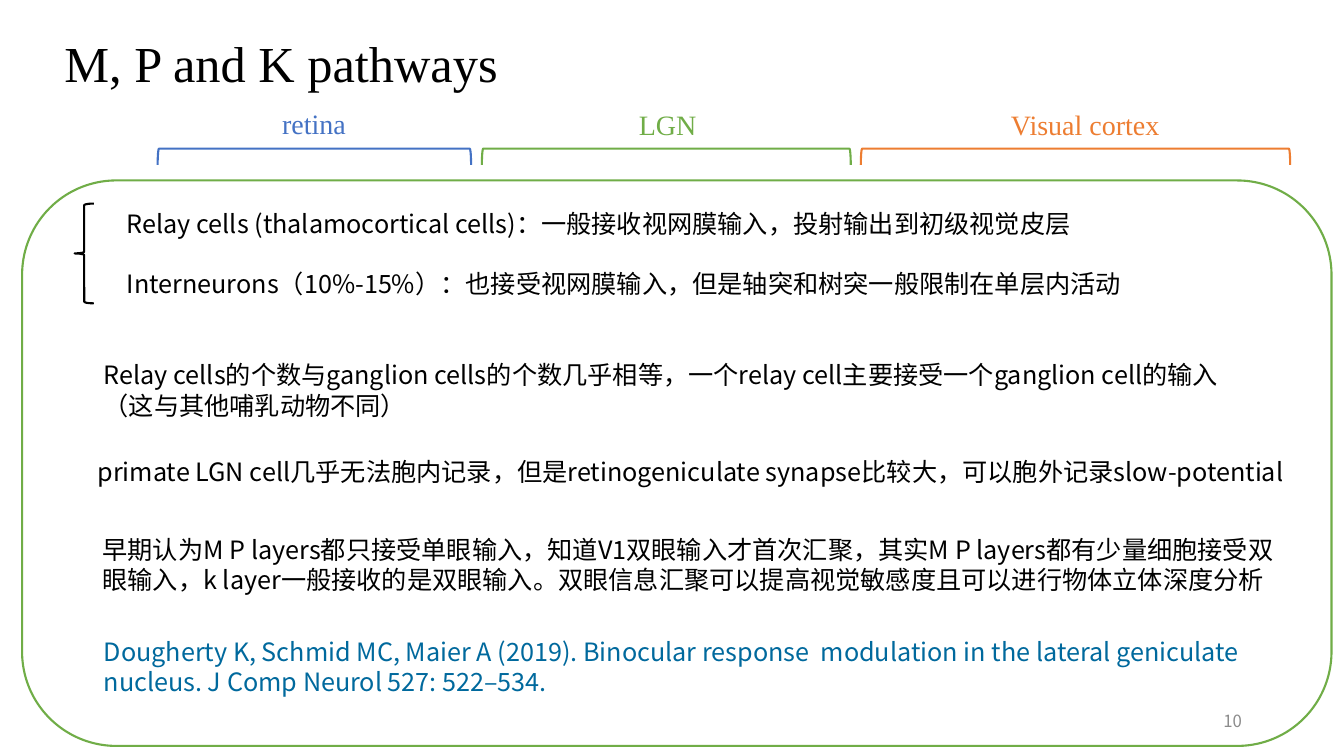
from lxml import etree
from pptx import Presentation
from pptx.dml.color import RGBColor
from pptx.enum.shapes import MSO_SHAPE
from pptx.enum.text import MSO_ANCHOR, PP_ALIGN
from pptx.oxml.ns import qn
from pptx.util import Pt

RIGHT_BRACKET = MSO_SHAPE.RIGHT_BRACKET
LEFT_BRACE = MSO_SHAPE.LEFT_BRACE
ROUND_RECT = MSO_SHAPE.ROUNDED_RECTANGLE
TOP, MIDDLE = MSO_ANCHOR.TOP, MSO_ANCHOR.MIDDLE
LEFT, RIGHT = PP_ALIGN.LEFT, PP_ALIGN.RIGHT

BLACK = RGBColor(0x00, 0x00, 0x00)
BLUE = RGBColor(0x44, 0x72, 0xC4)
GREEN = RGBColor(0x70, 0xAD, 0x47)
ORANGE = RGBColor(0xED, 0x7D, 0x31)
CITATION = RGBColor(0x00, 0x69, 0x9D)
GREY = RGBColor(0x8C, 0x8C, 0x8C)

SERIF = "Times New Roman"
SANS = "Noto Sans CJK SC"

BRACKET_TOP = 106.2
BRACKET_DEPTH = 11.5

STAGES = [
    ("retina", BLUE, 112.6, 223.9, 194.4, 72.7, 66),
    ("LGN", GREEN, 344.2, 263.5, 449.3, 73.4, 66),
    ("Visual cortex", ORANGE, 614.9, 306.7, 715, 73.4, 131),
]

NOTES = [
    ("Relay cells (thalamocortical cells)：一般接收视网膜输入，投射输出到初级视觉皮层",
     83.5, 145.4, 782.6, 28.8, BLACK),
    ("Interneurons（10%-15%）：也接受视网膜输入，但是轴突和树突一般限制在单层内活动",
     83.5, 187.9, 744.5, 28.8, BLACK),
    ("Relay cells的个数与ganglion cells的个数几乎相等，一个relay cell主要接受一个"
     "ganglion cell的输入（这与其他哺乳动物不同）",
     67, 253.4, 841.7, 51.1, BLACK),
    ("primate LGN cell几乎无法胞内记录，但是retinogeniculate synapse比较大，"
     "可以胞外记录slow-potential",
     62.6, 322.6, 874.8, 28.8, BLACK),
    ("早期认为M P layers都只接受单眼输入，知道V1双眼输入才首次汇聚，"
     "其实M P layers都有少量细胞接受双眼输入，k layer一般接收的是双眼输入。"
     "双眼信息汇聚可以提高视觉敏感度且可以进行物体立体深度分析",
     66.2, 378, 863.3, 51.1, BLACK),
    ("Dougherty K, Schmid MC, Maier A (2019). Binocular response  modulation in "
     "the lateral geniculate nucleus. J Comp Neurol 527: 522–534.",
     67, 450.7, 842.4, 51.1, CITATION),
]


def add_text(s, text, left, top, width, height, size, font, color,
             anchor=TOP, align=LEFT, spacing=1.0):
    sp = s.shapes.add_textbox(Pt(left), Pt(top), Pt(width), Pt(height))
    tf = sp.text_frame
    tf.word_wrap = True
    tf.vertical_anchor = anchor
    p = tf.paragraphs[0]
    p.text = text
    p.alignment = align
    p.line_spacing = spacing
    p.font.size = Pt(size)
    p.font.name = font
    p.font.color.rgb = color
    latin = p.font._element.find(qn("a:latin"))
    east_asian = etree.Element(qn("a:ea"), typeface=font)
    latin.addnext(east_asian)


def add_outline(s, kind, left, top, width, height, color):
    sp = s.shapes.add_shape(kind, Pt(left), Pt(top), Pt(width), Pt(height))
    sp.shadow.inherit = False
    sp.fill.background()
    sp.line.color.rgb = color
    sp.line.width = Pt(1.5)
    return sp


def add_top_bracket(s, left, span, color):
    center_x = left + span / 2
    center_y = BRACKET_TOP + BRACKET_DEPTH / 2
    sp = add_outline(s, RIGHT_BRACKET, center_x - BRACKET_DEPTH / 2,
                     center_y - span / 2, BRACKET_DEPTH, span, color)
    sp.rotation = 270


def main():
    prs = Presentation()
    prs.slide_width, prs.slide_height = Pt(960), Pt(540)
    s = prs.slides.add_slide(prs.slide_layouts[6])

    add_text(s, "M, P and K pathways", 38.9, 22.3, 828, 50.4, 36, SERIF, BLACK,
             anchor=MIDDLE, spacing=0.9)
    for label, color, left, span, label_left, label_top, label_width in STAGES:
        add_top_bracket(s, left, span, color)
        add_text(s, label, label_left, label_top, label_width, 31.7, 20, SERIF, color)

    add_outline(s, ROUND_RECT, 15.8, 128.9, 935.3, 403.9, GREEN)
    add_outline(s, LEFT_BRACE, 53.3, 145.4, 13.7, 71.3, BLACK)
    for text, left, top, width, height, color in NOTES:
        add_text(s, text, left, top, width, height, 18, SANS, color)
    add_text(s, "10", 678.2, 500.4, 216, 28.8, 12, SANS, GREY,
             anchor=MIDDLE, align=RIGHT)

    prs.save("out.pptx")


if __name__ == "__main__":
    main()
